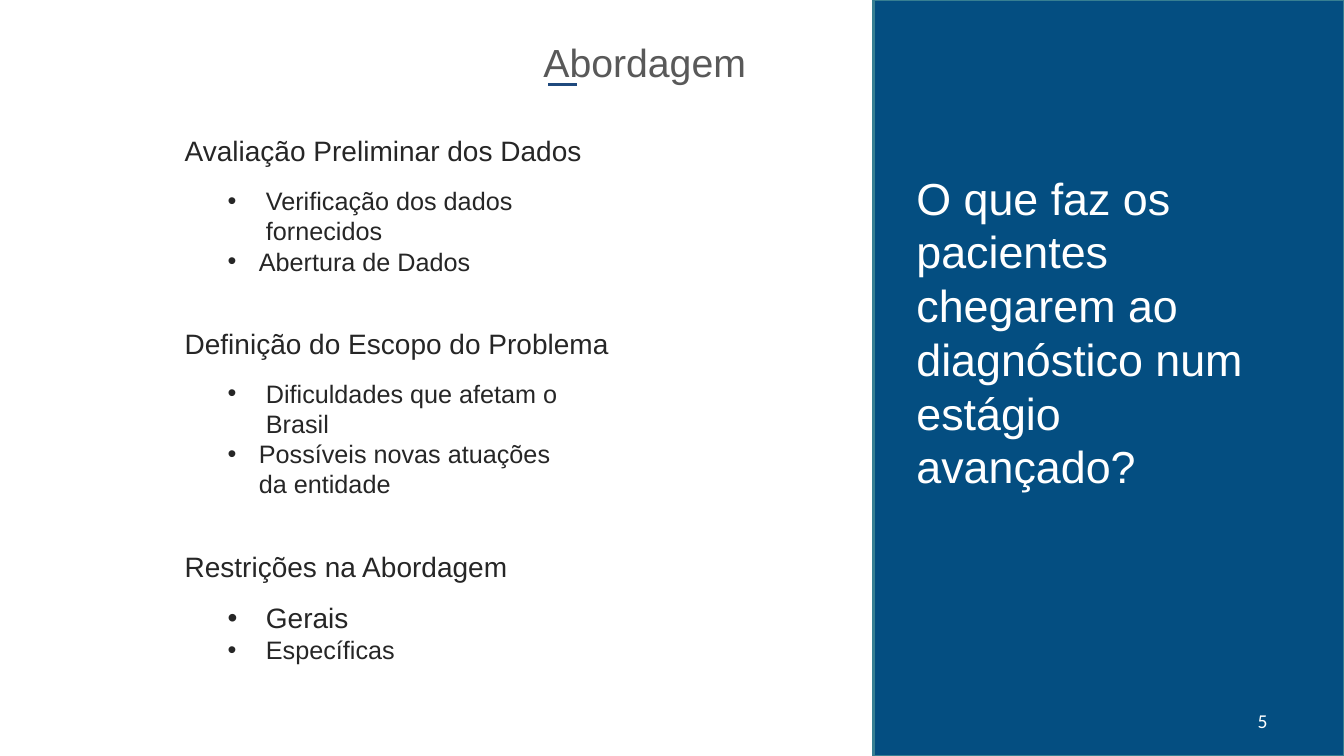
from dataclasses import dataclass

from lxml.etree import SubElement
from pptx import Presentation
from pptx.dml.color import RGBColor
from pptx.enum.shapes import MSO_CONNECTOR as Connector, MSO_SHAPE as Shape
from pptx.enum.text import MSO_ANCHOR as Anchor, MSO_AUTO_SIZE as AutoSize, PP_ALIGN as Align
from pptx.oxml.ns import qn
from pptx.util import Inches, Pt

TITLE = "Abordagem"
QUESTION = "O que faz os pacientes chegarem ao diagnóstico num estágio avançado?"
PAGE_NUMBER = "5"

WIDE, NARROW = 0.38, 0.31  # hanging indents of the bullets

# heading, lines its list takes, bullets as (text, indent, size name)
SECTIONS = [
    ("Avaliação Preliminar dos Dados", 3, [
        ("Verificação dos dados fornecidos", WIDE, "bullet"),
        ("Abertura de Dados", NARROW, "bullet"),
    ]),
    ("Definição do Escopo do Problema", 4, [
        ("Dificuldades que afetam o Brasil", WIDE, "bullet"),
        ("Possíveis novas atuações da entidade", NARROW, "bullet"),
    ]),
    ("Restrições na Abordagem", 2, [
        ("Gerais", WIDE, "heading"),
        ("Específicas", WIDE, "bullet"),
    ]),
]


@dataclass(frozen=True)
class Theme:
    font: str = "Arial"
    number_font: str = "Calibri"
    panel: str = "044E81"
    border: str = "377F92"
    accent: str = "1F497D"
    title_ink: str = "595959"
    ink: str = "262626"
    light: str = "FFFFFF"
    question: int = 32
    title: int = 28
    heading: int = 20
    bullet: int = 18
    number: int = 14


THEME = Theme()
WIDTH, HEIGHT = 13.33, 7.5
PANEL_LEFT = 0.65 * WIDTH
HEADING_LEFT, LIST_LEFT = 0.13 * WIDTH, 0.162 * WIDTH
HEADING_WIDTH, LIST_WIDTH = 0.41 * WIDTH, 3.74
FIRST_TOP = 1.28
LIST_DROP = 0.51
SECTION_BASE = 1.01
LINE_HEIGHT = 0.3


def color(code):
    return RGBColor.from_string(code)


def place(shape, left, top, width, height):
    shape.left, shape.top = Inches(left), Inches(top)
    shape.width, shape.height = Inches(width), Inches(height)


def write(para, text, size, ink=THEME.ink, font=THEME.font, align=Align.LEFT,
          spacing=None, indent=None):
    """Fill one paragraph; an indent gives it a hanging bullet."""
    para.alignment = align
    if spacing:
        para.line_spacing = spacing
    if indent:
        properties = para._p.get_or_add_pPr()
        properties.set("marL", str(Inches(indent)))
        properties.set("indent", str(-Inches(indent)))
        SubElement(properties, qn("a:buFont"), typeface="Arial")
        SubElement(properties, qn("a:buChar"), char="•")
    span = para.add_run()
    span.text = text
    span.font.size, span.font.name = Pt(size), font
    span.font.color.rgb = color(ink)


def add_box(page, left, top, width, height, anchor=Anchor.TOP):
    box = page.shapes.add_textbox(*map(Inches, (left, top, width, height)))
    box.text_frame.word_wrap = True
    box.text_frame.vertical_anchor = anchor
    return box.text_frame


def add_panel(page):
    panel = page.shapes.add_shape(Shape.RECTANGLE, 0, 0, 0, 0)
    place(panel, PANEL_LEFT, 0, WIDTH - PANEL_LEFT, HEIGHT)
    panel.shadow.inherit = False
    panel.fill.solid()
    panel.fill.fore_color.rgb = color(THEME.panel)
    panel.line.color.rgb = color(THEME.border)
    panel.line.width = Pt(2)
    question = add_box(page, 8.99, 1.64, 3.72, 4.21)
    write(question.paragraphs[0], QUESTION, THEME.question, THEME.light)
    number = add_box(page, 9.56, 6.95, 3.11, 0.4, Anchor.MIDDLE)
    write(number.paragraphs[0], PAGE_NUMBER, THEME.number, THEME.light,
          THEME.number_font, Align.RIGHT)


def add_title(page):
    title = page.shapes.title
    place(title, 5.29, 0.1, 3.38, 0.47)
    frame = title.text_frame
    frame.auto_size, frame.vertical_anchor = AutoSize.NONE, Anchor.TOP
    write(frame.paragraphs[0], TITLE, THEME.title, THEME.title_ink, spacing=1.5)
    underline = page.shapes.add_connector(
        Connector.STRAIGHT, *map(Inches, (5.44, 0.84, 5.72, 0.84)))
    underline.line.color.rgb = color(THEME.accent)
    underline.line.width = Pt(2.25)
    SubElement(underline._element.spPr, qn("a:effectLst"))


def add_sections(page):
    top = FIRST_TOP
    for heading, lines, bullets in SECTIONS:
        frame = add_box(page, HEADING_LEFT, top, HEADING_WIDTH, 0.44)
        write(frame.paragraphs[0], heading, THEME.heading)
        frame = add_box(page, LIST_LEFT, top + LIST_DROP, LIST_WIDTH,
                        0.4 + lines * LINE_HEIGHT)
        for index, (text, indent, size) in enumerate(bullets):
            para = frame.add_paragraph() if index else frame.paragraphs[0]
            write(para, text, getattr(THEME, size), indent=indent)
        top += SECTION_BASE + lines * LINE_HEIGHT


def main():
    deck = Presentation()
    deck.slide_width, deck.slide_height = Inches(WIDTH), Inches(HEIGHT)
    page = deck.slides.add_slide(deck.slide_layouts[5])
    add_panel(page)
    add_title(page)
    add_sections(page)
    deck.save("out.pptx")


if __name__ == "__main__":
    main()
